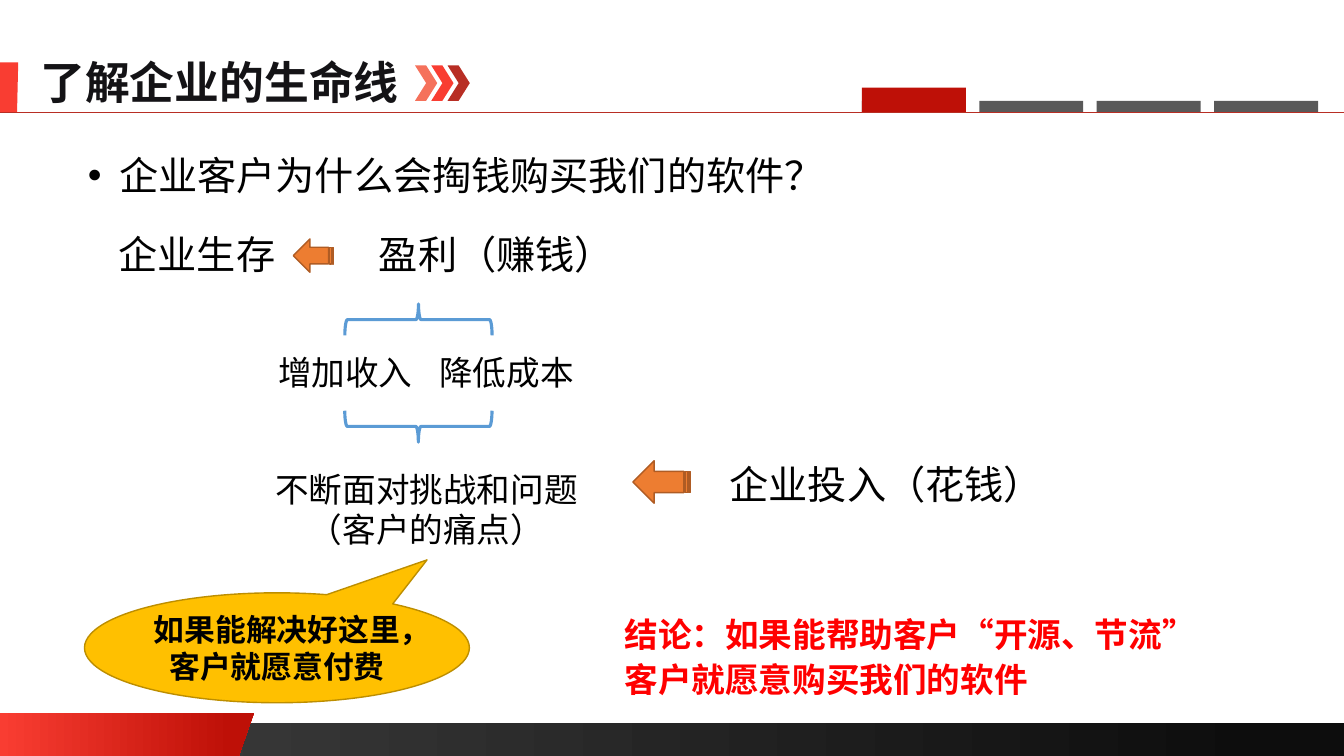
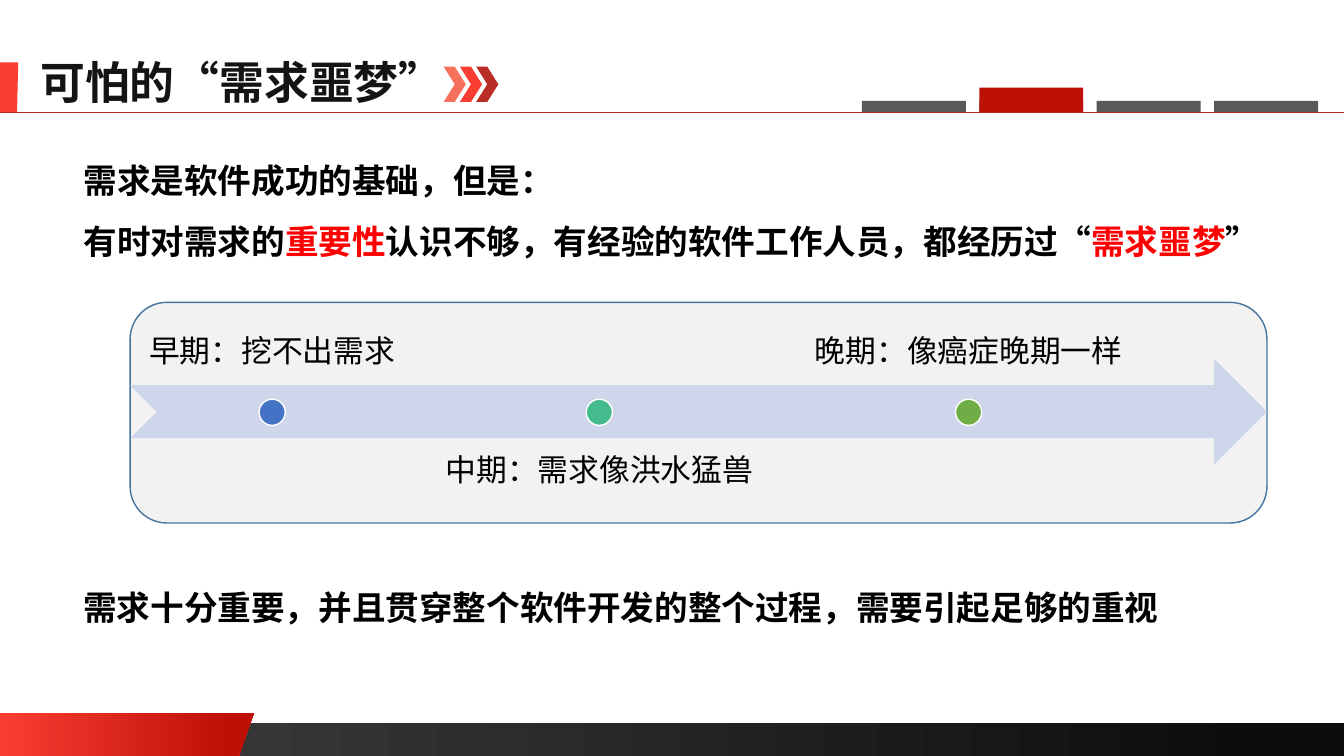
from lxml.etree import SubElement
from pptx import Presentation
from pptx.dml.color import RGBColor
from pptx.enum.shapes import MSO_CONNECTOR, MSO_SHAPE
from pptx.enum.text import MSO_ANCHOR, MSO_AUTO_SIZE, PP_ALIGN
from pptx.oxml.ns import qn
from pptx.util import Cm, Pt

FONT = "Noto Sans CJK SC"
COLORS = {
    "title": "141316", "text": "000000", "alert": "FF0000",
    "coral": "F5715B", "red": "F93D32", "brick": "B82E24", "crimson": "BE1007",
    "tab": "595959", "footer_start": "404040", "footer_end": "0D0D0D",
    "arrow": "ED7D31", "arrow_edge": "AF5C24", "brace": "5B9BD5",
    "callout": "FFC000", "callout_edge": "BD8E00",
    "panel": "F2F2F2", "panel_edge": "43739E", "timeline": "CFD5EA",
    "early": "4472C4", "middle": "43BB8D", "late": "70AD47", "white": "FFFFFF",
}
SLIDE_W, SLIDE_H = 33.87, 19.05
TAB_LEFT, TAB_STEP, TAB_W, RULE_Y = 21.72, 2.96, 2.62, 2.82


def add_shape(slide, preset, box, fill=None, edge=None, edge_width=1):
    """Add a preset shape without shadow; box is left, top, width, height in cm."""
    shape = slide.shapes.add_shape(preset, *map(Cm, box))
    shape.shadow.inherit = False
    if fill:
        shape.fill.solid()
        shape.fill.fore_color.rgb = RGBColor.from_string(COLORS[fill])
    else:
        shape.fill.background()
    if edge:
        shape.line.color.rgb = RGBColor.from_string(COLORS[edge])
        shape.line.width = Pt(edge_width)
    else:
        shape.line.fill.background()
    return shape


def format_text(shape, size, color="text", bold=False, align=PP_ALIGN.LEFT, spacing=None):
    for paragraph in shape.text_frame.paragraphs:
        paragraph.alignment = align
        paragraph.space_before = Pt(0)
        if spacing:
            paragraph.line_spacing = spacing
        for run in paragraph.runs:
            run.font.size = Pt(size)
            run.font.bold = bold
            run.font.color.rgb = RGBColor.from_string(COLORS[color])
            run.font.name = FONT
            SubElement(run.font._element, qn("a:ea")).set("typeface", FONT)


prs = Presentation()
prs.slide_width, prs.slide_height = Cm(SLIDE_W), Cm(SLIDE_H)
layout = prs.slide_layouts[1]
lifeline = prs.slides.add_slide(layout)
nightmare = prs.slides.add_slide(layout)

# Shared frame: drawn once, then moved to the layout
footer = add_shape(lifeline, MSO_SHAPE.RECTANGLE, (0, 18.21, SLIDE_W, 0.84), "footer_end")
outlines = [
    [(0, 17.96), (6.4, 17.96), (6.02, SLIDE_H), (0, SLIDE_H)],
    [(0, 1.57), (0.46, 1.57), (0.43, 2.84), (0, 2.84)],
]
accents = []
for outline in outlines:
    corners = [(Cm(x), Cm(y)) for x, y in outline]
    builder = lifeline.shapes.build_freeform(*corners[0])
    builder.add_line_segments(corners[1:], close=True)
    accent = builder.convert_to_shape()
    accent.shadow.inherit = False
    accent.fill.solid()
    accent.fill.fore_color.rgb = RGBColor.from_string(COLORS["red"])
    accent.line.fill.background()
    accents.append(accent)

for band, start, end, stop in [
    (footer, "footer_start", "footer_end", 0.94),
    (accents[0], "red", "crimson", 0.91),
]:
    band.fill.gradient()
    band.fill.gradient_angle = 0
    first, last = band.fill.gradient_stops
    first.color.rgb = RGBColor.from_string(COLORS[start])
    first.position = 0
    last.color.rgb = RGBColor.from_string(COLORS[end])
    last.position = stop

rule = lifeline.shapes.add_connector(
    MSO_CONNECTOR.STRAIGHT, 0, Cm(RULE_Y), Cm(SLIDE_W), Cm(RULE_Y))
rule.line.color.rgb = RGBColor.from_string(COLORS["brick"])
rule.line.width = Pt(0.5)
SubElement(rule.element.spPr, qn("a:effectLst"))

tabs = [
    add_shape(lifeline, MSO_SHAPE.RECTANGLE,
              (TAB_LEFT + i * TAB_STEP, 2.54, TAB_W, 0.28), "tab")
    for i in range(4)
]
for shape_id, part in enumerate([footer, *accents, rule, *tabs], start=20):
    part.element.xpath(".//p:cNvPr")[0].set("id", str(shape_id))
    layout.shapes.element.append(part.element)

title_area = layout.placeholders[0]
title_area.left, title_area.top = Cm(0.76), Cm(1.24)
title_area.width, title_area.height = Cm(20), Cm(1.63)

# Titles, chevrons and the active tab
for index, (slide, heading, chevron_left, chevron_top) in enumerate([
    (lifeline, "了解企业的生命线", 10.46, 1.65),
    (nightmare, "可怕的“需求噩梦”", 11.18, 1.68),
]):
    title = slide.shapes.title
    title.text_frame.text = heading
    title.text_frame.vertical_anchor = MSO_ANCHOR.MIDDLE
    title.text_frame.auto_size = MSO_AUTO_SIZE.NONE
    format_text(title, 32, "title", bold=True)
    for step, color in enumerate(["coral", "red", "brick"]):
        add_shape(slide, MSO_SHAPE.CHEVRON,
                  (chevron_left + step * 0.41, chevron_top, 0.56, 0.89), color)
    add_shape(slide, MSO_SHAPE.RECTANGLE,
              (TAB_LEFT + index * TAB_STEP, 2.21, TAB_W, 0.61), "crimson")

# Slide 1: what keeps a company alive
question = lifeline.placeholders[1]
question.left, question.top, question.width, question.height = map(Cm, (1.96, 3.1, 24.89, 2.11))
question.text_frame.text = "企业客户为什么会掏钱购买我们的软件？"
question.text_frame.auto_size = MSO_AUTO_SIZE.NONE
bullet_props = question.text_frame.paragraphs[0]._p.get_or_add_pPr()
bullet_props.set("marL", str(Cm(0.79)))
bullet_props.set("indent", str(-Cm(0.79)))
SubElement(bullet_props, qn("a:buFont")).set("typeface", "Arial")
SubElement(bullet_props, qn("a:buChar")).set("char", "•")
format_text(question, 28, spacing=1.5)

for wording, box, size, align in [
    ("企业生存", (2.74, 5.69, 4.5, 1.45), 28, PP_ALIGN.LEFT),
    ("盈利（赚钱）", (9.3, 5.69, 6.5, 1.45), 28, PP_ALIGN.LEFT),
    ("增加收入", (6.76, 8.74, 3.94, 1.27), 24, PP_ALIGN.LEFT),
    ("降低成本", (10.82, 8.74, 3.94, 1.27), 24, PP_ALIGN.LEFT),
    ("不断面对挑战和问题\n（客户的痛点）", (6.65, 11.68, 8.2, 2.31), 24, PP_ALIGN.CENTER),
    ("企业投入（花钱）", (18.14, 11.48, 8.48, 1.45), 28, PP_ALIGN.LEFT),
]:
    factor = lifeline.shapes.add_textbox(*map(Cm, box))
    factor.text_frame.text = wording
    factor.text_frame.word_wrap = False
    factor.text_frame.auto_size = MSO_AUTO_SIZE.SHAPE_TO_FIT_TEXT
    format_text(factor, size, align=align)

for box in [(7.39, 6.02, 1.02, 0.84), (15.95, 11.61, 1.45, 1.07)]:
    arrow = add_shape(lifeline, MSO_SHAPE.STRIPED_RIGHT_ARROW, box, "arrow", "arrow_edge")
    arrow.rotation = 180

for top, rotation in [(6.2, 90), (8.89, 270)]:
    brace = add_shape(lifeline, MSO_SHAPE.LEFT_BRACE, (10.15, top, 0.79, 3.71),
                      edge="brace", edge_width=2.25)
    brace.rotation = rotation

callout = add_shape(lifeline, MSO_SHAPE.OVAL_CALLOUT, (2.13, 14.94, 9.7, 2.77),
                    "callout", "callout_edge")
callout.adjustments[0], callout.adjustments[1] = 0.39, -0.8
callout.text_frame.text = "如果能解决好这里，客户就愿意付费"
callout.text_frame.word_wrap = True
callout.text_frame.vertical_anchor = MSO_ANCHOR.MIDDLE
format_text(callout, 22, bold=True, align=PP_ALIGN.CENTER)

conclusion = lifeline.shapes.add_textbox(Cm(15.49), Cm(15.24), Cm(15.04), Cm(2.46))
conclusion.text_frame.text = "结论：如果能帮助客户“开源、节流”\n客户就愿意购买我们的软件"
conclusion.text_frame.word_wrap = False
conclusion.text_frame.auto_size = MSO_AUTO_SIZE.SHAPE_TO_FIT_TEXT
format_text(conclusion, 24, "alert", bold=True, spacing=Pt(32))

# Slide 2: the requirements nightmare
premise = nightmare.placeholders[1]
premise.left, premise.top, premise.width, premise.height = map(Cm, (1.85, 3.4, 31.04, 3.15))
premise.text_frame.text = "需求是软件成功的基础，但是："
premise.text_frame.auto_size = MSO_AUTO_SIZE.NONE
warning = premise.text_frame.add_paragraph()
for wording in ["有时对需求的", "重要性", "认识不够，有经验的软件工作人员，都经历过“", "需求噩梦", "”"]:
    warning.add_run().text = wording
for paragraph in premise.text_frame.paragraphs:
    plain_props = paragraph._p.get_or_add_pPr()
    plain_props.set("marL", "0")
    plain_props.set("indent", "0")
    SubElement(plain_props, qn("a:buNone"))
format_text(premise, 24, bold=True, spacing=1.5)
for run in warning.runs[1::2]:
    run.font.color.rgb = RGBColor.from_string(COLORS["alert"])

add_shape(nightmare, MSO_SHAPE.ROUNDED_RECTANGLE, (3.28, 7.62, 28.65, 5.56), "panel", "panel_edge")
add_shape(nightmare, MSO_SHAPE.NOTCHED_RIGHT_ARROW, (3.28, 9.04, 28.65, 2.67), "timeline")

DOT = 0.66
for wording, left, top, width, anchor, color in [
    ("早期：挖不出需求", 3.28, 7.06, 7.16, MSO_ANCHOR.BOTTOM, "early"),
    ("中期：需求像洪水猛兽", 10.62, 11.05, 8.97, MSO_ANCHOR.TOP, "middle"),
    ("晚期：像癌症晚期一样", 19.76, 7.06, 9.3, MSO_ANCHOR.BOTTOM, "late"),
]:
    stage = nightmare.shapes.add_textbox(Cm(left), Cm(top), Cm(width), Cm(2.67))
    frame = stage.text_frame
    frame.text = wording
    frame.word_wrap = True
    frame.vertical_anchor = anchor
    frame.margin_left = frame.margin_right = frame.margin_top = frame.margin_bottom = Cm(0.43)
    format_text(stage, 22, align=PP_ALIGN.CENTER, spacing=0.9)
    add_shape(nightmare, MSO_SHAPE.OVAL, (left + (width - DOT) / 2, 10.06, DOT, DOT),
              color, "white")

closing = nightmare.shapes.add_textbox(Cm(1.85), Cm(14.66), Cm(27.86), Cm(1.27))
closing.text_frame.text = "需求十分重要，并且贯穿整个软件开发的整个过程，需要引起足够的重视"
closing.text_frame.word_wrap = False
closing.text_frame.auto_size = MSO_AUTO_SIZE.SHAPE_TO_FIT_TEXT
format_text(closing, 24, bold=True)

prs.save("out.pptx")
